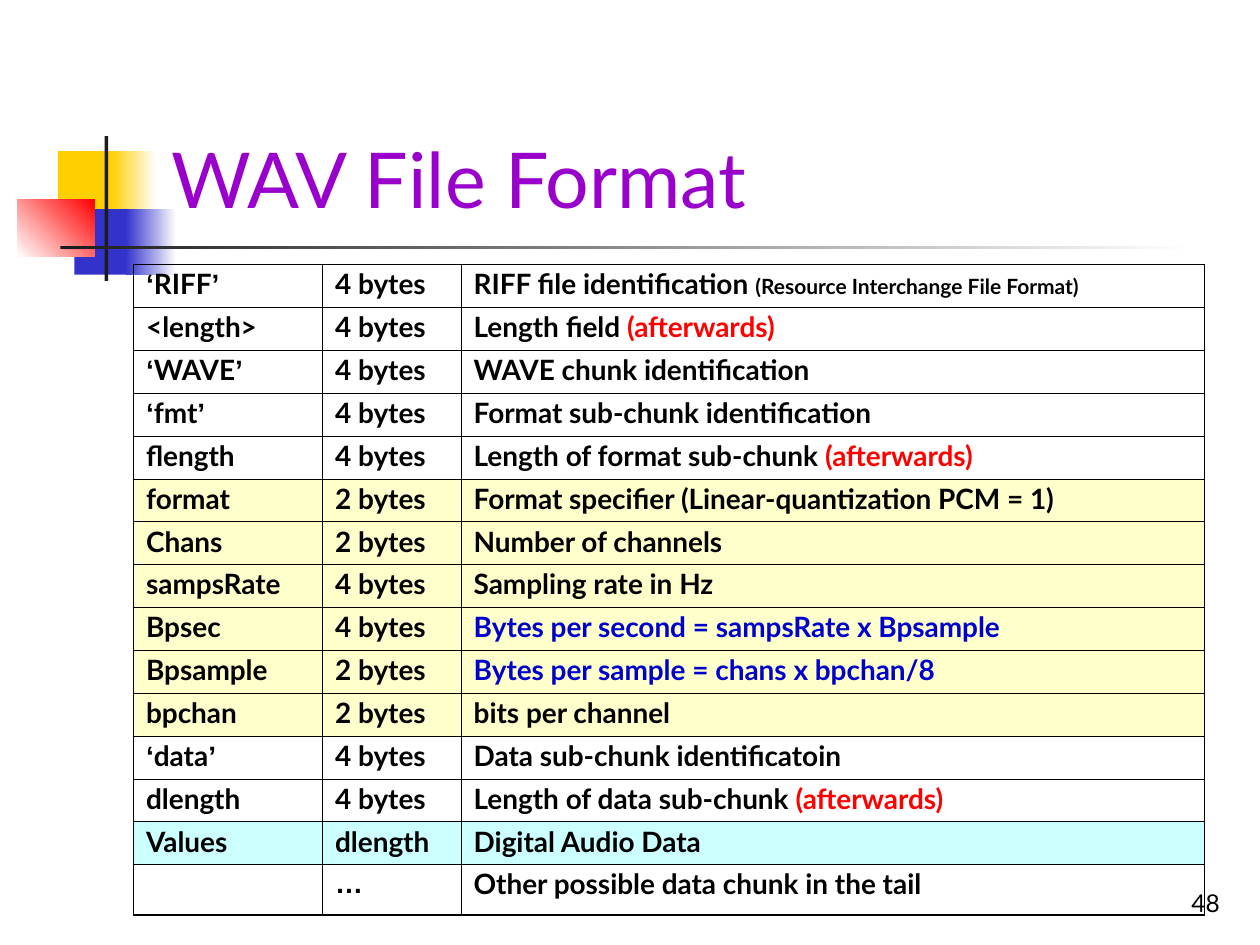
from dataclasses import dataclass
from itertools import groupby

from lxml import etree
from pptx import Presentation
from pptx.dml.color import RGBColor
from pptx.enum.shapes import MSO_SHAPE
from pptx.enum.text import MSO_ANCHOR, PP_ALIGN
from pptx.oxml.ns import qn
from pptx.util import Inches, Pt

RECT = MSO_SHAPE.RECTANGLE
BOTTOM = MSO_ANCHOR.BOTTOM
LEFT = PP_ALIGN.LEFT
RIGHT = PP_ALIGN.RIGHT

FONT = "Lato"
MARKS = "‘’…"
BLACK, WHITE, RED, BLUE = "000000", "FFFFFF", "FF0000", "0000CC"
GOLD, NAVY, DARK = "FFCF01", "3333CC", "1C1C1C"
CREAM, AQUA = "FFFFCC", "CCFFFF"
THIN, THICK = 0.45, 1.08
WIDTHS = (1.5, 1.1, 5.9)
ROW, LAST = 0.34, 0.37


@dataclass
class Block:
    left: float
    top: float
    width: float
    height: float
    color: str
    fade: str = ""
    angle: int = 0


@dataclass
class Field:
    name: str
    size: str
    note: str
    tail: str = ""
    ink: str = BLACK
    fill: str = ""
    tint: str = RED
    small: int = 16


BLOCKS = [
    Block(0.46, 1.2, 0.48, 0.52, GOLD),
    Block(0.88, 1.2, 0.36, 0.52, GOLD, WHITE),
    Block(0.59, 1.66, 0.46, 0.52, NAVY),
    Block(1, 1.66, 0.4, 0.52, NAVY, WHITE),
    Block(0.14, 1.58, 0.61, 0.46, WHITE, RED, 45),
    Block(0.83, 1.08, 0.03, 1.15, DARK),
    Block(0.48, 1.95, 9, 0.03, DARK, WHITE),
]

LATER = "(afterwards)"
FIELDS = [
    Field("‘RIFF’", "4 bytes", "RIFF file identification ",
          "(Resource Interchange File Format)", tint=BLACK, small=12),
    Field("<length>", "4 bytes", "Length field ", LATER),
    Field("‘WAVE’", "4 bytes", "WAVE chunk identification"),
    Field("‘fmt’", "4 bytes", "Format sub-chunk identification"),
    Field("flength", "4 bytes", "Length of format sub-chunk ", LATER),
    Field("format", "2 bytes", "Format specifier (Linear-quantization PCM = 1)", fill=CREAM),
    Field("Chans", "2 bytes", "Number of channels", fill=CREAM),
    Field("sampsRate", "4 bytes", "Sampling rate in Hz", fill=CREAM),
    Field("Bpsec", "4 bytes", "Bytes per second = sampsRate x Bpsample", ink=BLUE, fill=CREAM),
    Field("Bpsample", "2 bytes", "Bytes per sample = chans x bpchan/8", ink=BLUE, fill=CREAM),
    Field("bpchan", "2 bytes", "bits per channel", fill=CREAM),
    Field("‘data’", "4 bytes", "Data sub-chunk identificatoin"),
    Field("dlength", "4 bytes", "Length of data sub-chunk ", LATER),
    Field("Values", "dlength", "Digital Audio Data", fill=AQUA),
    Field("", "…", "Other possible data chunk in the tail"),
]


def paint(color, code: str) -> None:
    color.rgb = RGBColor.from_string(code)


def style(run, size: float, code: str, bold: bool = False, face: str = FONT) -> None:
    run.font.name = face
    run.font.size = Pt(size)
    run.font.bold = bold
    paint(run.font.color, code)


def draw_block(slide, block: Block) -> None:
    box = (block.left, block.top, block.width, block.height)
    shape = slide.shapes.add_shape(RECT, *map(Inches, box))
    shape.shadow.inherit = False
    shape.line.fill.background()
    if block.fade:
        shape.fill.gradient()
        shape.fill.gradient_angle = block.angle
        for stop, code in zip(shape.fill.gradient_stops, (block.color, block.fade)):
            paint(stop.color, code)
    else:
        shape.fill.solid()
        paint(shape.fill.fore_color, block.color)


def draw_edge(cell, side: str, width: float) -> None:
    edge = etree.SubElement(cell._tc.get_or_add_tcPr(), qn(f"a:ln{side}"), w=str(Pt(width)))
    solid = etree.SubElement(edge, qn("a:solidFill"))
    etree.SubElement(solid, qn("a:srgbClr"), val=BLACK)


def add_words(para, text: str, size: float, code: str) -> None:
    for mark, chars in groupby(text, key=lambda char: char in MARKS):
        run = para.add_run()
        run.text = "".join(chars)
        style(run, size, code, True, "Arial" if mark else FONT)


def draw_cell(cell, field: Field, row: int, col: int) -> None:
    outer = {"L": col == 0, "R": col == len(WIDTHS) - 1,
             "T": row == 0, "B": row == len(FIELDS) - 1}
    for side, rim in outer.items():
        draw_edge(cell, side, THICK if rim else THIN)
    if field.fill:
        cell.fill.solid()
        paint(cell.fill.fore_color, field.fill)
    else:
        cell.fill.background()
    text = (field.name, field.size, field.note)[col]
    if not text:
        return
    para = cell.text_frame.paragraphs[0]
    para.line_spacing = 0.9
    para.space_before = Pt(3 if outer["T"] and outer["R"] else 4)
    add_words(para, text, 16, field.ink if outer["R"] else BLACK)
    if outer["R"]:
        add_words(para, field.tail, field.small, field.tint)


def draw_table(slide) -> None:
    count = len(FIELDS)
    box = (1.06, 2.1, sum(WIDTHS), ROW * (count - 1) + LAST)
    table = slide.shapes.add_table(count, len(WIDTHS), *map(Inches, box)).table
    table.first_row = False
    table.horz_banding = False
    for column, width in zip(table.columns, WIDTHS):
        column.width = Inches(width)
    for row, field in enumerate(FIELDS):
        table.rows[row].height = Inches(LAST if row == count - 1 else ROW)
        for col in range(len(WIDTHS)):
            draw_cell(table.cell(row, col), field, row, col)


def set_line(shape, text: str, size: float, code: str, align) -> None:
    frame = shape.text_frame
    frame.word_wrap = True
    frame.vertical_anchor = BOTTOM
    frame.text = text
    para = frame.paragraphs[0]
    para.alignment = align
    style(para.runs[0], size, code)


def main() -> None:
    deck = Presentation()
    deck.slide_width, deck.slide_height = Inches(10), Inches(7.5)
    slide = deck.slides.add_slide(deck.slide_layouts[5])
    for block in BLOCKS:
        draw_block(slide, block)
    page = slide.shapes.add_textbox(*map(Inches, (7.7, 6.83, 2.08, 0.5)))
    set_line(page, "48", 14, BLACK, RIGHT)
    title = slide.shapes.title
    title.left, title.top, title.width, title.height = map(Inches, (1.26, 0.23, 8.52, 1.6))
    set_line(title, "WAV File Format", 44, "9900CC", LEFT)
    draw_table(slide)
    deck.save("out.pptx")


if __name__ == "__main__":
    main()
